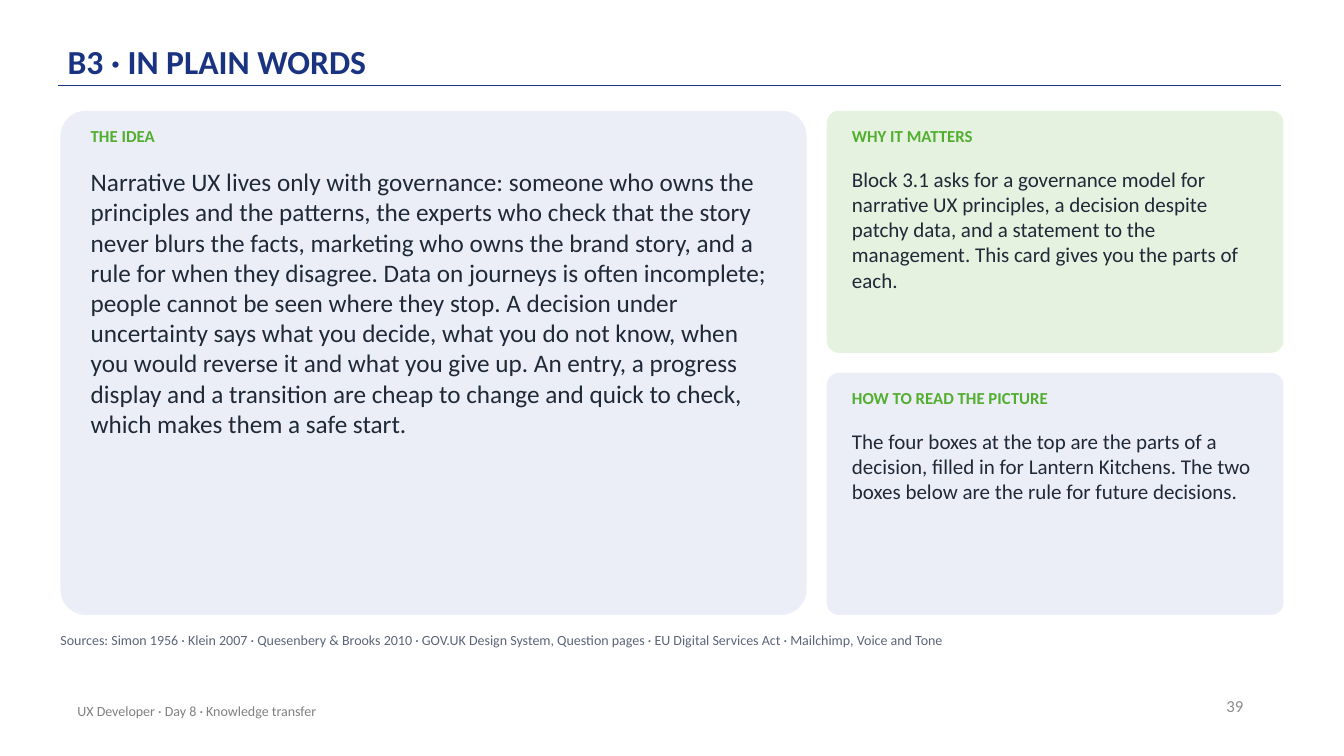
from lxml import etree
from pptx import Presentation
from pptx.dml.color import RGBColor
from pptx.enum.shapes import MSO_CONNECTOR, MSO_SHAPE
from pptx.enum.text import MSO_ANCHOR, MSO_AUTO_SIZE, PP_ALIGN
from pptx.oxml.ns import qn
from pptx.util import Inches, Pt

NAVY = RGBColor(0x1A, 0x33, 0x81)
GREEN = RGBColor(0x51, 0xAE, 0x2F)
INK = RGBColor(0x1F, 0x29, 0x37)
SLATE = RGBColor(0x5B, 0x65, 0x77)
GREY = RGBColor(0x80, 0x80, 0x80)
LIGHT_GREY = RGBColor(0x8C, 0x8C, 0x8C)
PALE_BLUE = RGBColor(0xEC, 0xEE, 0xF7)
PALE_GREEN = RGBColor(0xE5, 0xF2, 0xDF)

CARD_TOP = 1.1
CARD_HEIGHT = 5
GAP = 0.2
SIDE_LEFT = 8.2
SIDE_WIDTH = 4.53
SIDE_HEIGHT = (CARD_HEIGHT - GAP) / 2

IDEA = (
    "Narrative UX lives only with governance: someone who owns the principles and the patterns, "
    "the experts who check that the story never blurs the facts, marketing who owns the brand story, "
    "and a rule for when they disagree. Data on journeys is often incomplete; people cannot be seen "
    "where they stop. A decision under uncertainty says what you decide, what you do not know, when "
    "you would reverse it and what you give up. An entry, a progress display and a transition are "
    "cheap to change and quick to check, which makes them a safe start."
)
WHY = (
    "Block 3.1 asks for a governance model for narrative UX principles, a decision despite patchy "
    "data, and a statement to the management. This card gives you the parts of each."
)
READING = (
    "The four boxes at the top are the parts of a decision, filled in for Lantern Kitchens. "
    "The two boxes below are the rule for future decisions."
)
SOURCES = (
    "Sources: Simon 1956 · Klein 2007 · Quesenbery & Brooks 2010 · GOV.UK Design System, "
    "Question pages · EU Digital Services Act · Mailchimp, Voice and Tone"
)


class SlideBuilder:
    font_name = "Calibri"

    def __init__(self, page):
        self.page = page

    def set_values(self, target, values):
        for name, value in values.items():
            setattr(target, name, value)

    def put_text(self, box, text, size, color, bold=False, frame_format=None, para_format=None):
        frame = box.text_frame
        self.set_values(frame, {"word_wrap": True, **(frame_format or {})})
        para = frame.paragraphs[0]
        self.set_values(para, para_format or {})
        span = para.add_run()
        span.text = text
        self.set_values(span.font, {"name": self.font_name, "size": Pt(size), "bold": bold})
        span.font.color.rgb = color

    def title(self, text, left, top, width, height):
        box = self.page.shapes.title
        place = {"left": left, "top": top, "width": width, "height": height}
        self.set_values(box, {name: Inches(value) for name, value in place.items()})
        frame_format = {
            "margin_left": 0, "margin_right": 0,
            "margin_top": Inches(0.03), "margin_bottom": Inches(0.03),
            "vertical_anchor": MSO_ANCHOR.BOTTOM, "auto_size": MSO_AUTO_SIZE.NONE,
        }
        para_format = {"alignment": PP_ALIGN.LEFT, "line_spacing": 0.9}
        self.put_text(box, text, 24, NAVY, True, frame_format, para_format)

    def rule(self, left, right, top):
        line = self.page.shapes.add_connector(
            MSO_CONNECTOR.STRAIGHT, Inches(left), Inches(top), Inches(right), Inches(top))
        line.line.color.rgb = NAVY
        line.line.width = Pt(1)
        etree.SubElement(line._element.spPr, qn("a:effectLst"))

    def text(self, text, left, top, width, height, size, color, bold=False):
        box = self.page.shapes.add_textbox(*map(Inches, (left, top, width, height)))
        margins = dict.fromkeys(("margin_left", "margin_top", "margin_right", "margin_bottom"), 0)
        self.put_text(box, text, size, color, bold, margins, {"space_after": Pt(6)})

    def footer(self, text, left, top, width, size, color, alignment):
        box = self.page.shapes.add_textbox(*map(Inches, (left, top, width, 0.4)))
        self.put_text(box, text, size, color, False,
                      {"vertical_anchor": MSO_ANCHOR.MIDDLE}, {"alignment": alignment})

    def card(self, heading, body, left, top, width, height, fill, padding, size):
        panel = self.page.shapes.add_shape(
            MSO_SHAPE.ROUNDED_RECTANGLE, *map(Inches, (left, top, width, height)))
        panel.adjustments[0] = 0.05
        panel.shadow.inherit = False
        panel.fill.solid()
        panel.fill.fore_color.rgb = fill
        panel.line.fill.background()
        text_left = left + padding
        text_width = width - 2 * padding
        self.text(heading, text_left, top + 0.15, text_width, 0.35, 12, GREEN, True)
        self.text(body, text_left, top + 0.55, text_width, height - 0.65, size, INK)


def main():
    deck = Presentation()
    deck.slide_width = Inches(13.33)
    deck.slide_height = Inches(7.5)
    slide = SlideBuilder(deck.slides.add_slide(deck.slide_layouts[5]))

    slide.rule(0.58, 12.71, 0.85)
    slide.title("B3 · IN PLAIN WORDS", 0.67, 0.12, 11, 0.72)
    slide.card("THE IDEA", IDEA, 0.6, CARD_TOP, 7.4, CARD_HEIGHT, PALE_BLUE, 0.3, 18)
    side_cards = [
        ("WHY IT MATTERS", WHY, PALE_GREEN),
        ("HOW TO READ THE PICTURE", READING, PALE_BLUE),
    ]
    for index, (heading, body, fill) in enumerate(side_cards):
        top = CARD_TOP + index * (SIDE_HEIGHT + GAP)
        slide.card(heading, body, SIDE_LEFT, top, SIDE_WIDTH, SIDE_HEIGHT, fill, 0.25, 15)
    slide.text(SOURCES, 0.6, 6.27, 12.1, 0.3, 10, SLATE)
    slide.footer("UX Developer · Day 8 · Knowledge transfer", 0.67, 6.85, 6.7, 10, GREY, PP_ALIGN.LEFT)
    slide.footer("39", 9.43, 6.8, 3, 12, LIGHT_GREY, PP_ALIGN.RIGHT)

    deck.save("out.pptx")


if __name__ == "__main__":
    main()
